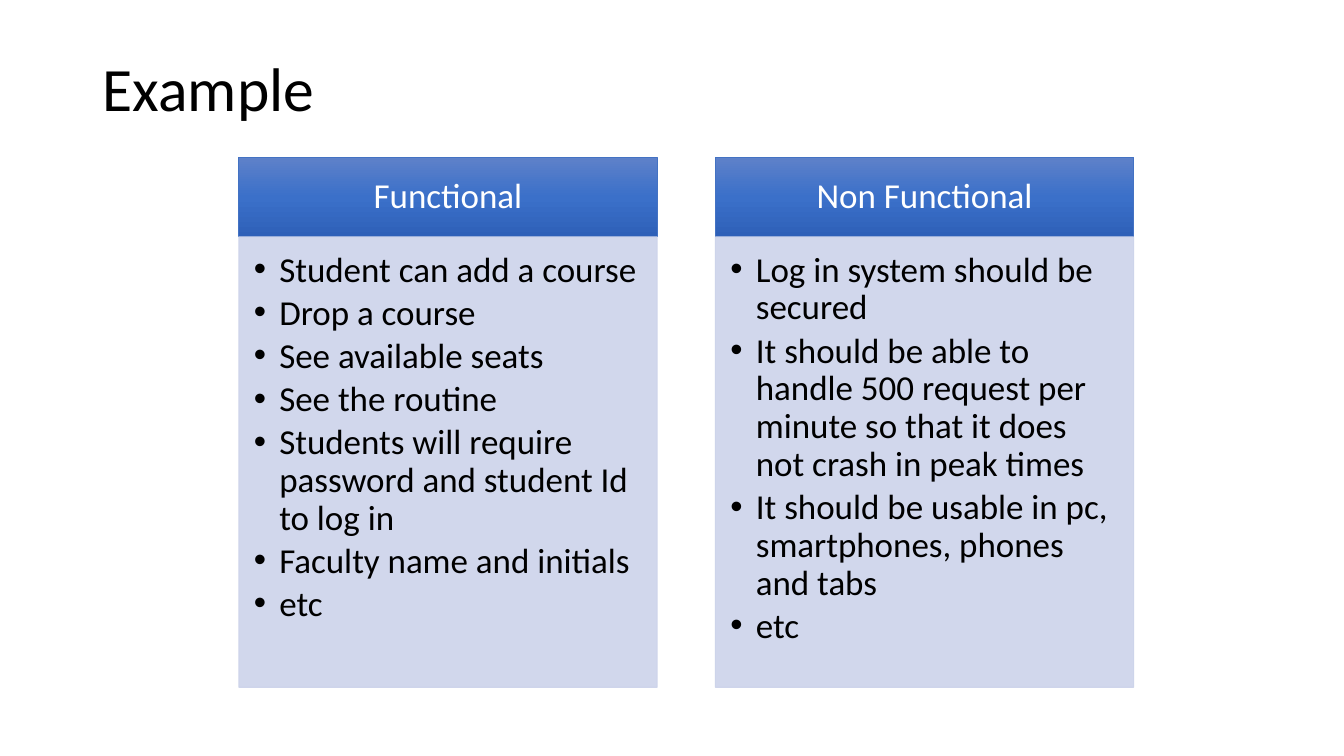
"""Builds a slide comparing functional and non functional requirements."""
from copy import deepcopy

from lxml.etree import SubElement
from pptx import Presentation
from pptx.dml.color import RGBColor
from pptx.enum.shapes import MSO_SHAPE
from pptx.enum.text import MSO_ANCHOR, PP_ALIGN
from pptx.oxml.ns import qn
from pptx.util import Cm, Pt

HEADING = "Example"
REQUIREMENTS = {
    "Functional": [
        "Student can add a course",
        "Drop a course",
        "See available seats",
        "See the routine",
        "Students will require password and student Id to log in",
        "Faculty name and initials",
        "etc",
    ],
    "Non Functional": [
        "Log in system should be secured",
        "It should be able to handle 500 request per minute so that it does "
        "not crash in peak times",
        "It should be usable in pc, smartphones, phones and tabs",
        "etc",
    ],
}

FONT = "Calibri"
BLACK = RGBColor(0x00, 0x00, 0x00)
WHITE = RGBColor(0xFF, 0xFF, 0xFF)
HEADER_LINE = RGBColor(0x43, 0x72, 0xC3)
PANEL = RGBColor(0xCC, 0xD3, 0xEA)
HEADER_STOPS = [
    (0, RGBColor(0x5E, 0x81, 0xC9)),
    (0.5, RGBColor(0x3B, 0x70, 0xC9)),
    (1, RGBColor(0x2E, 0x60, 0xB8)),
]

COLUMN_LEFT, COLUMN_PITCH, COLUMN_WIDTH = Cm(6.02), Cm(12.01), Cm(10.54)
HEADER_TOP, HEADER_HEIGHT, PANEL_HEIGHT = Cm(3.96), Cm(2.01), Cm(11.35)
BULLET_INDENT = Cm(0.64)


def set_frame(frame, anchor, insets):
    frame.word_wrap = True
    frame.vertical_anchor = anchor
    (frame.margin_left, frame.margin_top,
     frame.margin_right, frame.margin_bottom) = map(Cm, insets)


def style(paragraph, size, color, align=PP_ALIGN.LEFT):
    paragraph.alignment = align
    paragraph.line_spacing = 0.9
    paragraph.font.name = FONT
    paragraph.font.size = Pt(size)
    paragraph.font.color.rgb = color


def add_box(slide, left, top, height, line_color):
    box = slide.shapes.add_shape(MSO_SHAPE.RECTANGLE, left, top, COLUMN_WIDTH, height)
    box.shadow.inherit = False
    box.line.color.rgb = line_color
    box.line.width = Pt(0.75)
    return box


def add_header(slide, left, label):
    header = add_box(slide, left, HEADER_TOP, HEADER_HEIGHT, HEADER_LINE)
    header.fill.gradient()
    header.fill.gradient_angle = 270
    stop_list = header.element.spPr.find(".//" + qn("a:gsLst"))
    stop_list.append(deepcopy(stop_list[-1]))
    for stop, (position, color) in zip(header.fill.gradient_stops, HEADER_STOPS):
        stop.position = position
        stop.color.rgb = color
    set_frame(header.text_frame, MSO_ANCHOR.MIDDLE, (0.48, 0.28, 0.48, 0.28))
    header.text_frame.text = label
    style(header.text_frame.paragraphs[0], 25, WHITE, PP_ALIGN.CENTER)


def add_panel(slide, left, items):
    panel = add_box(slide, left, HEADER_TOP + HEADER_HEIGHT, PANEL_HEIGHT, PANEL)
    panel.fill.solid()
    panel.fill.fore_color.rgb = PANEL
    for color in panel.element.spPr.iter(qn("a:srgbClr")):
        SubElement(color, qn("a:alpha")).set("val", "90000")
    set_frame(panel.text_frame, MSO_ANCHOR.TOP, (0.38, 0.38, 0.48, 0.56))
    panel.text_frame.text = "\n".join(items)
    for index, paragraph in enumerate(panel.text_frame.paragraphs):
        properties = paragraph._p.get_or_add_pPr()
        properties.set("marL", str(BULLET_INDENT))
        properties.set("indent", str(-BULLET_INDENT))
        SubElement(properties, qn("a:buFont")).set("typeface", "Arial")
        SubElement(properties, qn("a:buChar")).set("char", "•")
        style(paragraph, 25, BLACK)
        if index:
            paragraph.space_before = Pt(3.8)


def main():
    deck = Presentation()
    deck.slide_width, deck.slide_height = Cm(33.87), Cm(19.05)
    slide = deck.slides.add_slide(deck.slide_layouts[6])

    heading = slide.shapes.add_textbox(Cm(2.34), Cm(1.02), Cm(29.21), Cm(2.59))
    set_frame(heading.text_frame, MSO_ANCHOR.MIDDLE, (0.25, 0.13, 0.25, 0.13))
    heading.text_frame.text = HEADING
    style(heading.text_frame.paragraphs[0], 44, BLACK)

    for column, (label, items) in enumerate(REQUIREMENTS.items()):
        left = COLUMN_LEFT + column * COLUMN_PITCH
        add_header(slide, left, label)
        add_panel(slide, left, items)

    deck.save("out.pptx")


if __name__ == "__main__":
    main()
